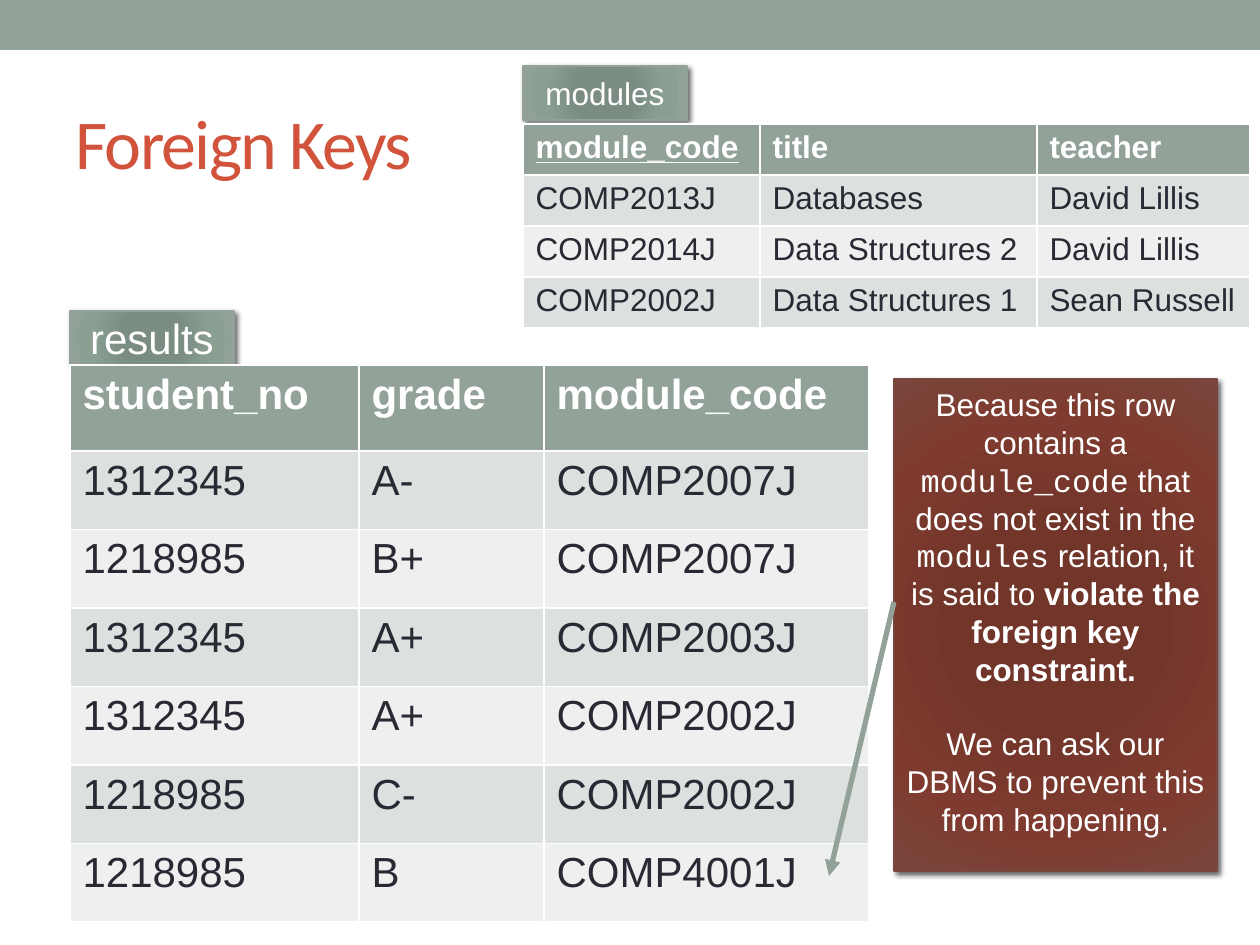
from lxml.etree import SubElement
from pptx import Presentation
from pptx.dml.color import RGBColor
from pptx.enum.shapes import MSO_CONNECTOR, MSO_SHAPE
from pptx.enum.text import MSO_ANCHOR, PP_ALIGN
from pptx.oxml import parse_xml
from pptx.oxml.ns import nsdecls, qn
from pptx.util import Pt

EMU_PER_PX = 914400 / 126

WHITE = RGBColor(0xFF, 0xFF, 0xFF)
SAGE = RGBColor(0x93, 0xA2, 0x99)
BAND_DARK = RGBColor(0xDC, 0xE0, 0xDE)
BAND_LIGHT = RGBColor(0xEE, 0xF0, 0xEF)
INK = RGBColor(0x29, 0x29, 0x34)
RUST = RGBColor(0xD2, 0x53, 0x3C)
BRICK = RGBColor(0x79, 0x46, 0x3D)
SAGE_GLOW = [RGBColor(0x7B, 0x8E, 0x82), RGBColor(0x7B, 0x8D, 0x83),
             RGBColor(0x8A, 0x9E, 0x92), SAGE]
BRICK_GLOW = [RGBColor(0x74, 0x33, 0x27), RGBColor(0x72, 0x35, 0x2A),
              RGBColor(0x7F, 0x3B, 0x2F), BRICK]
GLOW_STOPS = [0, 34, 70, 100]

MODULES = [
    ["module_code", "title", "teacher"],
    ["COMP2013J", "Databases", "David Lillis"],
    ["COMP2014J", "Data Structures 2", "David Lillis"],
    ["COMP2002J", "Data Structures 1", "Sean Russell"],
]
RESULTS = [
    ["student_no", "grade", "module_code"],
    ["1312345", "A-", "COMP2007J"],
    ["1218985", "B+", "COMP2007J"],
    ["1312345", "A+", "COMP2003J"],
    ["1312345", "A+", "COMP2002J"],
    ["1218985", "C-", "COMP2002J"],
    ["1218985", "B", "COMP4001J"],
]
EXPLANATION = [
    ("Because this row contains a ", "Arial", False),
    ("module_code", "Courier New", False),
    (" that does not exist in the ", "Arial", False),
    ("modules", "Courier New", False),
    (" relation, it is said to ", "Arial", False),
    ("violate the foreign key constraint.", "Arial", True),
]
ADVICE = [("We can ask our DBMS to prevent this from happening.", "Arial", False)]


def px(*lengths):
    return [round(length * EMU_PER_PX) for length in lengths]


def style(run, size, color, name="Arial", bold=False):
    run.font.size = Pt(size)
    run.font.name = name
    run.font.bold = bold
    run.font.color.rgb = color


def add_glowing_box(slide, box, colors):
    shape = slide.shapes.add_shape(MSO_SHAPE.RECTANGLE, *px(*box))
    shape.line.color.rgb = colors[-1]
    shape.line.width = Pt(0.75)
    stops = "".join(
        f'<a:gs pos="{stop * 1000}"><a:srgbClr val="{color}"/></a:gs>'
        for stop, color in zip(GLOW_STOPS, colors))
    properties = shape._element.spPr
    properties.find(qn("a:ln")).addprevious(parse_xml(
        f'<a:gradFill {nsdecls("a")} rotWithShape="1"><a:gsLst>{stops}</a:gsLst>'
        '<a:path path="circle"><a:fillToRect l="100000" t="100000" r="100000" b="100000"/>'
        '</a:path></a:gradFill>'))
    properties.append(parse_xml(
        f'<a:effectLst {nsdecls("a")}><a:outerShdw blurRad="38100" dist="25400" '
        'dir="2700000" rotWithShape="0"><a:srgbClr val="000000"><a:alpha val="60000"/>'
        '</a:srgbClr></a:outerShdw></a:effectLst>'))
    return shape


def add_heading(slide, box, text):
    left, top, width, height = box
    bar = slide.shapes.add_shape(MSO_SHAPE.RECTANGLE, *px(0, 0, 1260, 50))
    bar.shadow.inherit = False
    bar.fill.solid()
    bar.fill.fore_color.rgb = SAGE
    bar.line.fill.background()
    title = slide.shapes.title
    title.left, title.top, title.width, title.height = px(left, top, width, height)
    title.text_frame.text = text
    title.text_frame.vertical_anchor = MSO_ANCHOR.MIDDLE
    paragraph = title.text_frame.paragraphs[0]
    paragraph.alignment = PP_ALIGN.LEFT
    run = paragraph.runs[0]
    style(run, 40, RUST, "Calibri")
    run._r.get_or_add_rPr().set("spc", "-100")


def add_label(slide, box, text, size):
    label = add_glowing_box(slide, box, SAGE_GLOW)
    label.text_frame.text = text
    label.text_frame.vertical_anchor = MSO_ANCHOR.MIDDLE
    paragraph = label.text_frame.paragraphs[0]
    paragraph.alignment = PP_ALIGN.CENTER
    style(paragraph.runs[0], size, WHITE)


def add_relation(slide, box, records, widths, header_height, size, key=None):
    left, top, height = box
    frame = slide.shapes.add_table(len(records), len(widths),
                                   *px(left, top, sum(widths), height))
    table = frame.table
    for column, width in zip(table.columns, px(*widths)):
        column.width = width
    row_height = (height - header_height) / (len(records) - 1)
    for row_index, record in enumerate(records):
        is_header = row_index == 0
        table.rows[row_index].height = px(header_height if is_header else row_height)[0]
        band = SAGE if is_header else BAND_DARK if row_index % 2 else BAND_LIGHT
        for column_index, value in enumerate(record):
            cell = table.cell(row_index, column_index)
            cell.fill.solid()
            cell.fill.fore_color.rgb = band
            cell.text_frame.text = value
            run = cell.text_frame.paragraphs[0].runs[0]
            style(run, size, WHITE if is_header else INK, bold=is_header)
            if is_header and value == key:
                run.font.underline = True


def add_callout(slide, box, target):
    left, top, width, height = box
    callout = add_glowing_box(slide, box, BRICK_GLOW)
    text_frame = callout.text_frame
    text_frame.word_wrap = True
    text_frame.vertical_anchor = MSO_ANCHOR.TOP
    paragraphs = [text_frame.paragraphs[0], text_frame.add_paragraph()]
    paragraphs[1].space_before = Pt(21)
    for paragraph, pieces in zip(paragraphs, [EXPLANATION, ADVICE]):
        paragraph.alignment = PP_ALIGN.CENTER
        for text, name, bold in pieces:
            run = paragraph.add_run()
            run.text = text
            style(run, 18, WHITE, name, bold)
    arrow = slide.shapes.add_connector(MSO_CONNECTOR.STRAIGHT,
                                       *px(left, top + 223, *target))
    arrow.line.color.rgb = SAGE
    arrow.line.width = Pt(3)
    SubElement(arrow.line._get_or_add_ln(), qn("a:tailEnd"), type="triangle")
    SubElement(arrow._element.spPr, qn("a:effectLst"))


def main():
    presentation = Presentation()
    presentation.slide_width, presentation.slide_height = px(1260, 945)
    slide = presentation.slides.add_slide(presentation.slide_layouts[5])
    add_heading(slide, (63, 73, 1134, 136), "Foreign Keys")
    add_label(slide, (70, 311, 164, 54), "results", 24)
    add_relation(slide, (70, 365, 557), RESULTS, [289, 185, 325], 86, 24)
    add_label(slide, (523, 66, 164, 54), "modules", 18)
    add_relation(slide, (523, 124, 204), MODULES, [237, 277, 213], 51, 18, "module_code")
    add_callout(slide, (894, 379, 323, 492), (829, 876))
    presentation.save("out.pptx")


if __name__ == "__main__":
    main()
